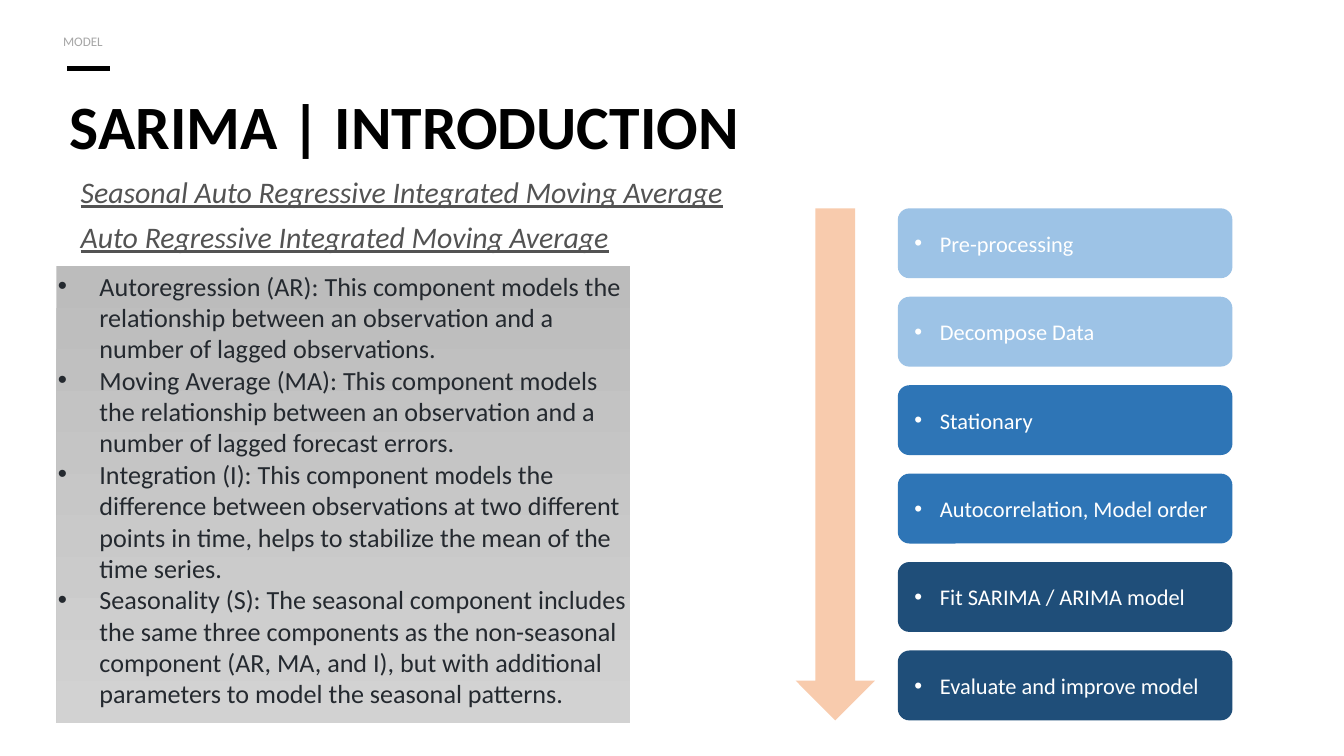
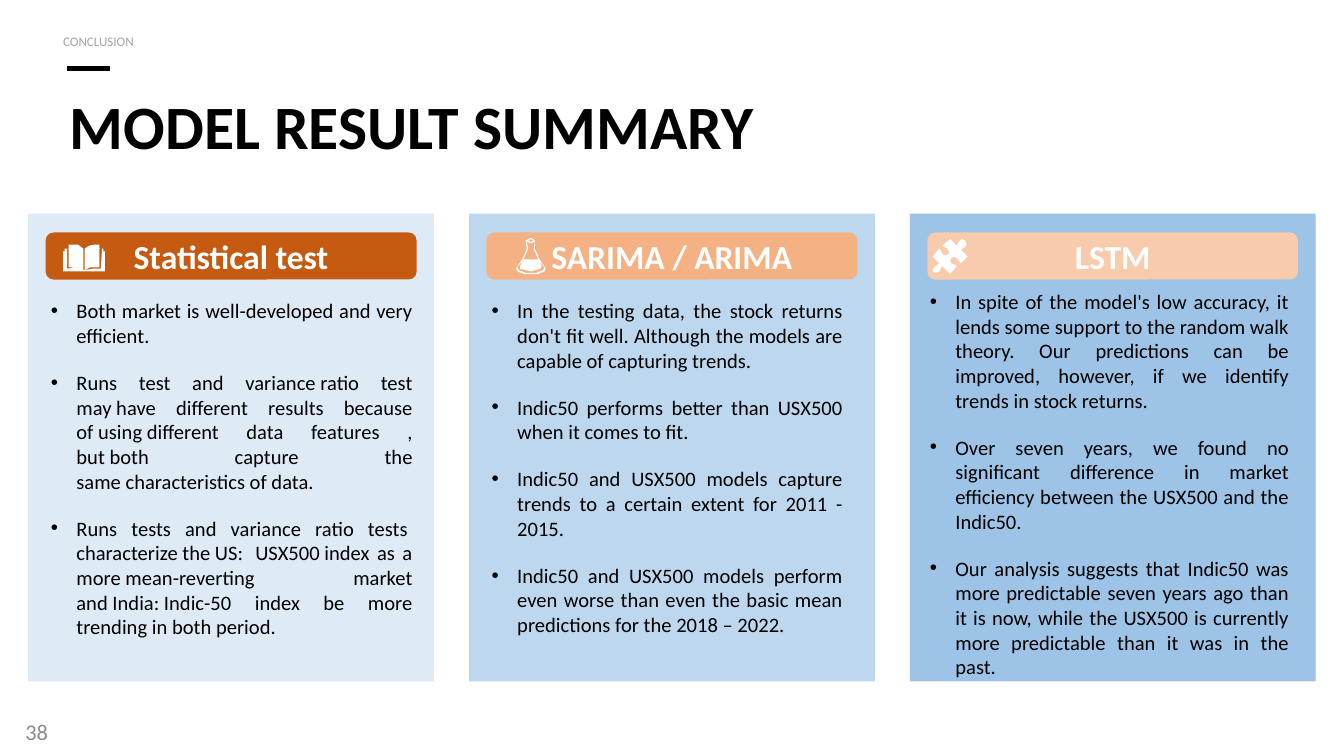
from lxml.etree import SubElement
from pptx import Presentation
from pptx.dml.color import RGBColor
from pptx.enum.shapes import MSO_CONNECTOR, MSO_SHAPE
from pptx.enum.text import MSO_ANCHOR, PP_ALIGN
from pptx.oxml.ns import qn
from pptx.util import Inches, Pt

# Shared style
FONT = "Calibri"
BLACK = RGBColor(0x00, 0x00, 0x00)
WHITE = RGBColor(0xFF, 0xFF, 0xFF)
INK = RGBColor(0x24, 0x29, 0x2F)
SUBTITLE_GRAY = RGBColor(0x53, 0x53, 0x53)
NUMBER_GRAY = RGBColor(0x8C, 0x8C, 0x8C)
SECTION_GRAY = RGBColor(0xA6, 0xA6, 0xA6)
PANEL_TOP = RGBColor(0xBC, 0xBC, 0xBC)
PANEL_BOTTOM = RGBColor(0xD2, 0xD2, 0xD2)
ICE = RGBColor(0xDE, 0xEB, 0xF7)
PALE_BLUE = RGBColor(0xBD, 0xD7, 0xEE)
SKY = RGBColor(0x9D, 0xC3, 0xE6)
BLUE = RGBColor(0x2E, 0x75, 0xB6)
NAVY = RGBColor(0x1F, 0x4E, 0x79)
RUST = RGBColor(0xC5, 0x5A, 0x11)
ORANGE = RGBColor(0xF4, 0xB1, 0x83)
PEACH = RGBColor(0xF8, 0xCB, 0xAD)

# In the texts below, ~ stands for a no-break space
NO_BREAK_SPACE = chr(160)

# Slide 1 content
SUBTITLES = [
    (1.24, "Seasonal Auto Regressive Integrated Moving Average"),
    (1.58, "Auto Regressive Integrated Moving Average"),
]
COMPONENTS = [
    "Autoregression (AR): This component models the relationship between an "
    "observation and a number of lagged observations.",
    "Moving Average (MA): This component models the relationship between an "
    "observation and a number of lagged forecast errors.",
    "Integration (I): This component models the difference between observations "
    "at two different points in time, helps to stabilize the mean of the time series.",
    "Seasonality (S): The seasonal component includes the same three components as "
    "the non-seasonal component (AR, MA, and I), but with additional parameters to "
    "model the seasonal patterns.",
]
STEPS = [
    ("Pre-processing", SKY),
    ("Decompose Data", SKY),
    ("Stationary", BLUE),
    ("Autocorrelation, Model order", BLUE),
    ("Fit SARIMA / ARIMA model", NAVY),
    ("Evaluate and improve model", NAVY),
]

# Icon outlines, in hundredths of an inch on the slide
BOOK = [
    [(62, 201), (62, 185), (58, 182), (55, 182), (51, 182), (51, 185), (48, 185),
     (48, 187), (47, 187), (47, 202), (78, 202), (78, 187), (77, 187), (77, 185),
     (74, 185), (74, 182), (70, 182), (66, 183), (63, 185), (63, 201), (67, 199),
     (74, 199), (74, 185), (76, 185), (75, 200), (69, 200), (63, 201)],
    [(62, 201), (56, 199), (50, 200), (50, 185), (51, 185), (51, 199), (57, 199)],
]
FLASK = [
    [(395, 177), (398, 179), (398, 185), (401, 192), (406, 200), (405, 202),
     (400, 204), (395, 204), (390, 204), (385, 202), (384, 200), (389, 192),
     (392, 185), (391, 179)],
    [(392, 180), (393, 185), (390, 192), (385, 199), (386, 201), (391, 203),
     (399, 203), (404, 201), (405, 199), (400, 192), (397, 185), (398, 180),
     (395, 181)],
    [(395, 178), (393, 179), (395, 180), (397, 179)],
    [(401, 193), (403, 198), (402, 200), (395, 202), (387, 200), (387, 198),
     (389, 193)],
]
PUZZLE = [
    [(718, 179), (719, 181), (719, 183), (715, 186), (720, 191), (715, 196),
     (712, 192), (710, 191), (708, 192), (707, 194), (708, 196), (712, 198),
     (707, 204), (701, 198), (699, 202), (697, 203), (695, 203), (694, 201),
     (695, 199), (699, 196), (694, 191), (699, 185), (702, 190), (704, 190),
     (706, 189), (706, 187), (705, 185), (701, 183), (707, 178), (712, 183),
     (714, 179), (716, 178)],
]

# Slide 2 content: heading, card fill, heading fill, icon, body place, bullets
RESULTS = [
    ("Statistical test", ICE, RUST, BOOK, (0.28, 2.17, 2.89, 3.14), [
        "Both market is well-developed and very efficient.~",
        "Runs test and variance~ratio test may~have different results because "
        "of~using~different data features , but~both capture the "
        "same~characteristics of data.",
        "Runs tests and variance ratio tests~ characterize~the~US:~ USX500~index as a "
        "more~mean-reverting market and~India:~Indic-50 index be more trending in "
        "both period.",
    ]),
    ("SARIMA / ARIMA", PALE_BLUE, ORANGE, FLASK, (3.56, 2.17, 2.81, 2.71), [
        "In the testing data, the stock returns don't fit well. Although the models "
        "are capable of capturing trends.",
        "Indic50 performs better than USX500 when it comes to fit.",
        "Indic50 and USX500 models capture trends to a certain extent for 2011 - 2015.",
        "Indic50 and USX500 models perform even worse than even the basic mean "
        "predictions for the 2018 – 2022.",
    ]),
    ("LSTM", SKY, PEACH, PUZZLE, (6.82, 2.10, 2.87, 3.28), [
        "In spite of the model's low accuracy, it lends some support to the random "
        "walk theory. Our predictions can be improved, however, if we identify "
        "trends in stock returns.",
        "Over seven years, we found no significant difference in market efficiency "
        "between the USX500 and the Indic50.",
        "Our analysis suggests that Indic50 was more predictable seven years ago than "
        "it is now, while the USX500 is currently more predictable than it was in "
        "the past.",
    ]),
]


def add_bullet(p, indent):
    pPr = p._p.get_or_add_pPr()
    pPr.set("marL", str(Inches(indent)))
    pPr.set("indent", str(-Inches(indent)))
    SubElement(pPr, qn("a:buFont")).set("typeface", "Arial")
    SubElement(pPr, qn("a:buChar")).set("char", "•")


def write(sp, lines, size, color, align=PP_ALIGN.LEFT, anchor=MSO_ANCHOR.TOP,
          inset=None, indent=None, after=None, leading=None, bold=False,
          italic=False, underline=False):
    tf = sp.text_frame
    tf.word_wrap = True
    tf.vertical_anchor = anchor
    if inset is not None:
        tf.margin_left = tf.margin_right = Inches(inset)
        tf.margin_top = tf.margin_bottom = Inches(inset)
    for i, line in enumerate(lines):
        p = tf.paragraphs[0] if i == 0 else tf.add_paragraph()
        p.text = line.replace("~", NO_BREAK_SPACE)
        p.alignment = align
        if after is not None:
            p.space_after = Pt(after)
        if leading is not None:
            p.line_spacing = Pt(leading)
        if indent is not None:
            add_bullet(p, indent)
        font = p.runs[0].font
        font.name, font.size, font.color.rgb = FONT, Pt(size), color
        font.bold, font.italic, font.underline = bold, italic, underline


def add_text(s, place, lines, size, color, **style):
    sp = s.shapes.add_textbox(*map(Inches, place))
    write(sp, lines, size, color, **style)


def paint(sp, color):
    sp.shadow.inherit = False
    sp.fill.solid()
    sp.fill.fore_color.rgb = color
    sp.line.fill.background()
    return sp


def add_block(s, kind, place, color):
    return paint(s.shapes.add_shape(kind, *map(Inches, place)), color)


def add_icon(s, contours):
    builder = s.shapes.build_freeform(*contours[0][0], scale=Inches(0.01))
    for i, points in enumerate(contours):
        if i:
            builder.move_to(*points[0])
        builder.add_line_segments(points[1:], close=True)
    paint(builder.convert_to_shape(), WHITE)


def add_slide(prs, section, title):
    s = prs.slides.add_slide(prs.slide_layouts[5])
    rule = s.shapes.add_connector(MSO_CONNECTOR.STRAIGHT, Inches(0.5), Inches(0.51),
                                  Inches(0.82), Inches(0.51))
    rule.line.color.rgb = BLACK
    rule.line.width = Pt(2.25)
    SubElement(rule._element.spPr, qn("a:effectLst"))
    sp = s.shapes.title
    sp.left, sp.top, sp.width, sp.height = map(Inches, (0.42, 0.74, 9.22, 0.9))
    write(sp, [title], 33, BLACK, leading=30, bold=True)
    add_text(s, (0.42, 0.18, 4.52, 0.23), [section], 7, SECTION_GRAY,
             inset=0.05, leading=10)
    return s


def build_introduction(prs):
    s = add_slide(prs, "MODEL", "SARIMA | INTRODUCTION")

    # Model names and their components
    for top, name in SUBTITLES:
        add_text(s, (0.55, top, 4.91, 0.37), [name], 16, SUBTITLE_GRAY,
                 inset=0.05, italic=True, underline=True)
    panel = add_block(s, MSO_SHAPE.RECTANGLE, (0.42, 1.98, 4.27, 3.4), PANEL_TOP)
    panel.fill.gradient()
    panel.fill.gradient_angle = 270
    for stop, color in zip(panel.fill.gradient_stops, (PANEL_TOP, PANEL_BOTTOM)):
        stop.color.rgb = color
    add_text(s, (0.38, 1.96, 4.39, 3.4), COMPONENTS, 14, INK, inset=0.05, indent=0.31)

    # Process steps, spread evenly along the arrow
    top, length, height = 1.55, 3.81, 0.52
    pitch = (length - height) / (len(STEPS) - 1)
    for i, (label, color) in enumerate(STEPS):
        sp = add_block(s, MSO_SHAPE.ROUNDED_RECTANGLE,
                       (6.68, top + i * pitch, 2.49, height), color)
        write(sp, [label], 12, WHITE, anchor=MSO_ANCHOR.MIDDLE, indent=0.19)
    add_block(s, MSO_SHAPE.DOWN_ARROW, (5.92, top, 0.59, length), PEACH)


def build_summary(prs):
    s = add_slide(prs, "CONCLUSION", "MODEL RESULT SUMMARY")

    # One card per model
    for i, (heading, card, band, icon, place, points) in enumerate(RESULTS):
        left = 0.21 + i * 3.28
        add_block(s, MSO_SHAPE.RECTANGLE, (left, 1.59, 3.02, 3.48), card)
        sp = add_block(s, MSO_SHAPE.ROUNDED_RECTANGLE, (left + 0.13, 1.73, 2.76, 0.35),
                       band)
        write(sp, [heading], 18, WHITE, align=PP_ALIGN.CENTER,
              anchor=MSO_ANCHOR.MIDDLE, bold=True)
        add_icon(s, icon)
        add_text(s, place, points, 11, BLACK, align=PP_ALIGN.JUSTIFY, indent=0.19,
                 after=12)

    # Slide number
    add_text(s, (0.09, 5.29, 2.25, 0.3), ["38"], 12, NUMBER_GRAY,
             anchor=MSO_ANCHOR.MIDDLE)


def main():
    prs = Presentation()
    prs.slide_width = Inches(10)
    prs.slide_height = prs.slide_width * 9 // 16
    build_introduction(prs)
    build_summary(prs)
    prs.save("out.pptx")


if __name__ == "__main__":
    main()
